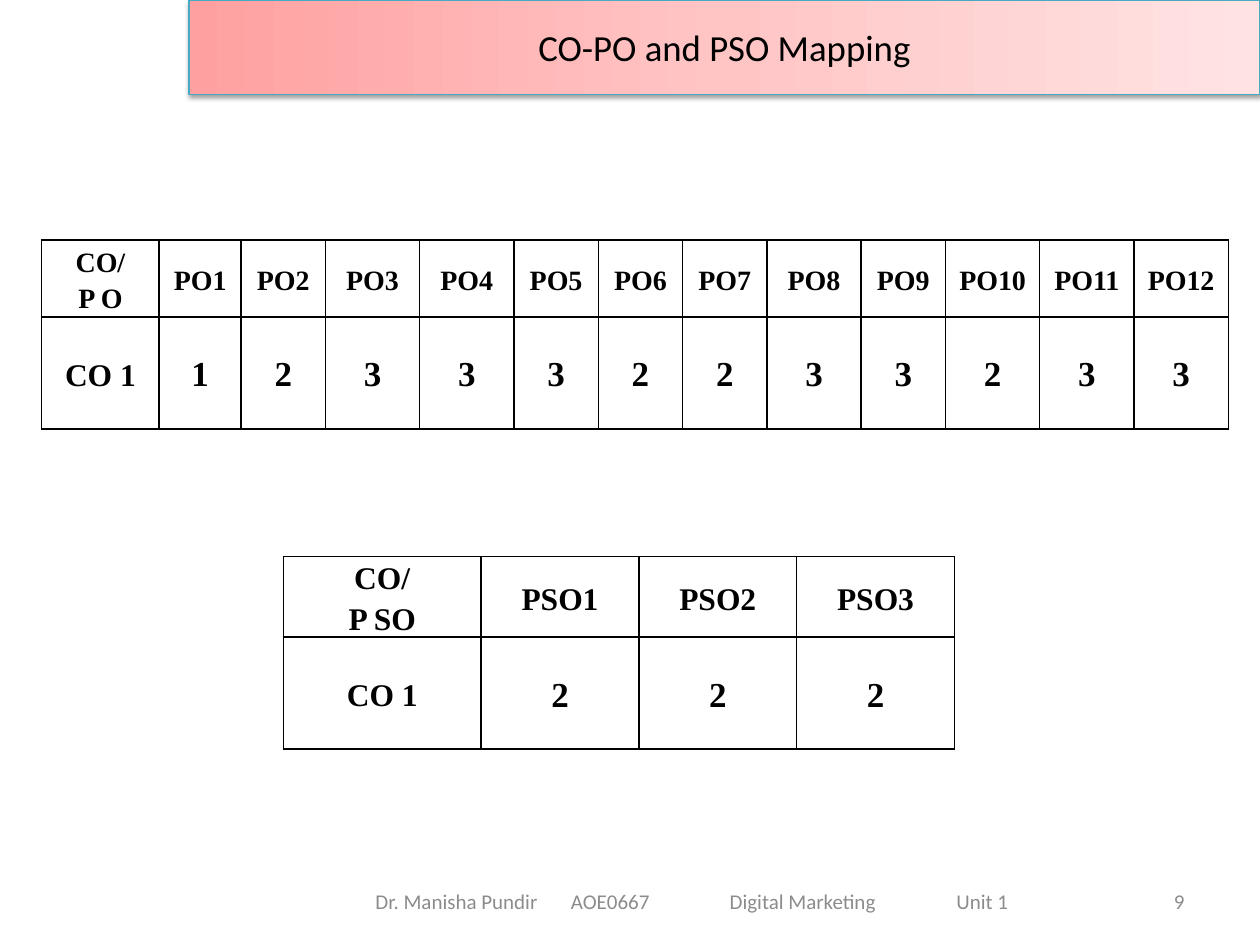
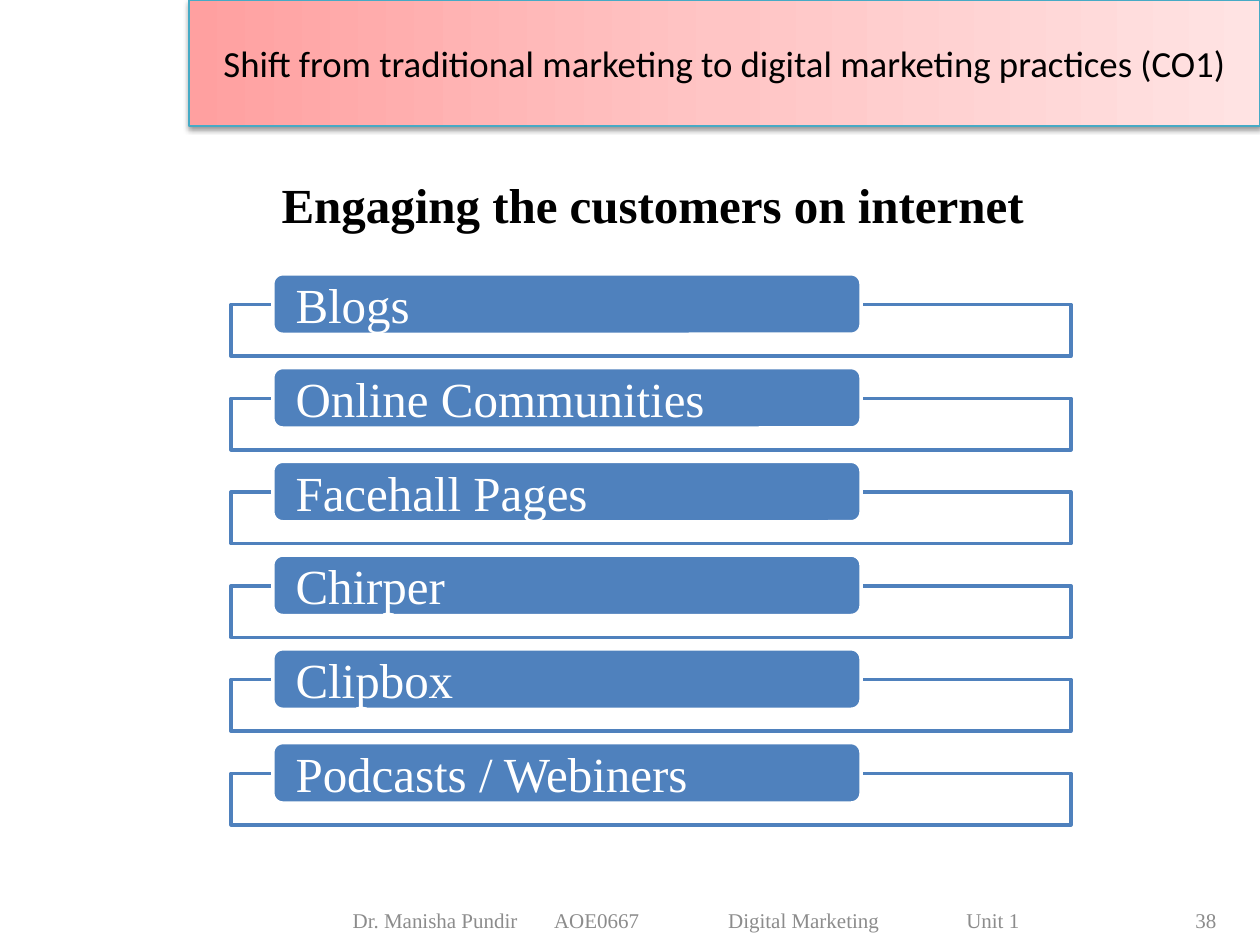
"""Builds the outcome mapping slide and the customer engagement slide."""
from lxml import etree
from pptx import Presentation
from pptx.dml.color import RGBColor
from pptx.enum.shapes import MSO_SHAPE
from pptx.enum.text import MSO_ANCHOR, MSO_AUTO_SIZE, PP_ALIGN
from pptx.oxml import parse_xml
from pptx.oxml.ns import nsdecls, qn
from pptx.util import Cm, Pt

LEFT, CENTER, RIGHT = PP_ALIGN.LEFT, PP_ALIGN.CENTER, PP_ALIGN.RIGHT
MIDDLE = MSO_ANCHOR.MIDDLE
NO_AUTOFIT = MSO_AUTO_SIZE.NONE
RECTANGLE, ROUNDED = MSO_SHAPE.RECTANGLE, MSO_SHAPE.ROUNDED_RECTANGLE
TITLE_ONLY = 5

BLACK = RGBColor(0x00, 0x00, 0x00)
WHITE = RGBColor(0xFF, 0xFF, 0xFF)
GREY = RGBColor(0x8C, 0x8C, 0x8C)
BLUE = RGBColor(0x4F, 0x81, 0xBD)
BAND_LINE = RGBColor(0x46, 0xAA, 0xC5)
BAND_STOPS = [
    (0, RGBColor(0xFF, 0xA0, 0xA0)),
    (50, RGBColor(0xFF, 0xC5, 0xC5)),
    (100, RGBColor(0xFF, 0xE3, 0xE3)),
]
SANS, SERIF = "Calibri", "Times New Roman"

SLIDE_WIDTH, SLIDE_HEIGHT = 25.4, 19.05
BAND_LEFT = 3.81

FOOTER = ["Dr. Manisha Pundir", "AOE0667", "Digital Marketing", "Unit 1"]

MAPPING = {
    "title": "CO-PO and PSO Mapping",
    "band_height": 1.9,
    "number": "9",
    "footer": {"font": SANS, "top": 17.65, "left": 7.57, "tabs": [3.94, 7.14, 11.71],
               "number_right": 24.13},
}
ROW_HEIGHTS = [1.55, 2.26]
PO_TABLE = {
    "at": (0.84, 4.84),
    "widths": [2.37, 1.65, 1.7, 1.9, 1.9, 1.7, 1.7, 1.7, 1.9, 1.7, 1.9, 1.9, 1.9],
    "rows": [
        ["CO/\nP O"] + [f"PO{number}" for number in range(1, 13)],
        ["CO 1", "1", "2", "3", "3", "3", "2", "2", "3", "3", "2", "3", "3"],
    ],
    "header_size": 16,
    "value_spacing": 1.07,
    "value_after": 8,
}
PSO_TABLE = {
    "at": (5.71, 11.22),
    "widths": [3.99, 3.18, 3.18, 3.18],
    "rows": [["CO/\nP SO", "PSO1", "PSO2", "PSO3"], ["CO 1", "2", "2", "2"]],
    "header_size": 18,
    "value_spacing": 1.15,
    "value_after": 0,
}

ENGAGEMENT = {
    "title": "Shift from traditional marketing to digital marketing practices (CO1)",
    "band_height": 2.54,
    "number": "38",
    "footer": {"font": SERIF, "top": 18.03, "left": 7.11, "tabs": [4.06, 7.57, 12.37],
               "number_right": 24.77},
}
HEADING = "Engaging the customers on internet"
CHANNELS = ["Blogs", "Online Communities", "Facehall Pages", "Chirper", "Clipbox",
            "Podcasts / Webiners"]
CHANNEL_TOP, CHANNEL_STEP = 5.52, 1.89


def write_text(frame, text, font=SERIF, size=12, color=BLACK, bold=False, align=LEFT,
               spacing=1.0, after=0, side_margin=0.0):
    """Fill a text frame, one paragraph a line, in a single format."""
    frame.text = text
    frame.word_wrap = True
    frame.auto_size = NO_AUTOFIT
    frame.vertical_anchor = MIDDLE
    frame.margin_left = frame.margin_right = Cm(side_margin)
    frame.margin_top = frame.margin_bottom = 0
    for paragraph in frame.paragraphs:
        paragraph.alignment = align
        paragraph.line_spacing = spacing
        paragraph.space_before = Pt(0)
        paragraph.space_after = Pt(after)
        paragraph.font.name = font
        paragraph.font.size = Pt(size)
        paragraph.font.bold = bold
        paragraph.font.color.rgb = color


def add_text(slide, left, top, width, height, text, **text_format):
    """Add a text box and return its frame."""
    box = slide.shapes.add_textbox(Cm(left), Cm(top), Cm(width), Cm(height))
    write_text(box.text_frame, text, **text_format)
    return box.text_frame


def style_band(title, text, height):
    """Turn the title placeholder into the pink band."""
    title.left, title.top = Cm(BAND_LEFT), 0
    title.width, title.height = Cm(SLIDE_WIDTH - BAND_LEFT), Cm(height)
    write_text(title.text_frame, text, font=SANS, size=21, align=CENTER, side_margin=0.25)
    stops = "".join(
        f'<a:gs pos="{position * 1000}"><a:srgbClr val="{color}"/></a:gs>'
        for position, color in BAND_STOPS)
    properties = title.element.spPr
    properties.append(parse_xml(
        f'<a:gradFill {nsdecls("a")} rotWithShape="1"><a:gsLst>{stops}</a:gsLst>'
        '<a:lin ang="0" scaled="0"/></a:gradFill>'))
    title.line.color.rgb = BAND_LINE
    title.line.width = Pt(0.75)
    properties.append(parse_xml(
        f'<a:effectLst {nsdecls("a")}><a:outerShdw blurRad="{Pt(3.1)}" dist="{Pt(1.6)}" '
        f'dir="5400000" rotWithShape="0"><a:srgbClr val="{BLACK}"><a:alpha val="38000"/>'
        '</a:srgbClr></a:outerShdw></a:effectLst>'))


def add_footer(slide, number, font, top, left, tabs, number_right):
    """Add the tabbed course footer and the slide number."""
    look = {"font": font, "color": GREY}
    frame = add_text(slide, left, top, 14.5, 1.02, "\t".join(FOOTER), **look)
    properties = frame.paragraphs[0]._p.get_or_add_pPr()
    tab_list = etree.Element(qn("a:tabLst"))
    for position in tabs:
        etree.SubElement(tab_list, qn("a:tab"), pos=str(Cm(position)), algn="l")
    properties.find(qn("a:defRPr")).addprevious(tab_list)
    add_text(slide, number_right - 2, top, 1.75, 1.02, number, align=RIGHT, **look)


def add_base_slide(presentation, content):
    """Add a slide with the shared band and footer."""
    slide = presentation.slides.add_slide(presentation.slide_layouts[TITLE_ONLY])
    style_band(slide.shapes.title, content["title"], content["band_height"])
    add_footer(slide, content["number"], **content["footer"])
    return slide


def add_borders(cell):
    """Draw a thin black line on every side of a cell."""
    properties = cell._tc.get_or_add_tcPr()
    for index, side in enumerate(["lnL", "lnR", "lnT", "lnB"]):
        properties.insert(index, parse_xml(
            f'<a:{side} {nsdecls("a")} w="{Pt(1)}"><a:solidFill><a:srgbClr val="{BLACK}"/>'
            f'</a:solidFill></a:{side}>'))


def write_cell(cell, text, **text_format):
    """Fill one bordered, unfilled cell with bold centred text."""
    cell.fill.background()
    cell.vertical_anchor = MIDDLE
    cell.margin_left = cell.margin_right = Cm(0.18)
    cell.margin_top = cell.margin_bottom = 0
    cell.text = text
    for paragraph in cell.text_frame.paragraphs:
        paragraph.alignment = CENTER
        paragraph.line_spacing = text_format["spacing"]
        paragraph.space_after = Pt(text_format["after"])
        for run in paragraph.runs:
            run.font.name = SERIF
            run.font.size = Pt(text_format["size"])
            run.font.bold = True
            run.font.color.rgb = BLACK
    add_borders(cell)


def add_mapping_table(slide, content):
    """Add a table of outcomes against their levels."""
    rows, widths = content["rows"], content["widths"]
    left, top = content["at"]
    table = slide.shapes.add_table(
        len(rows), len(widths), Cm(left), Cm(top), Cm(sum(widths)), Cm(sum(ROW_HEIGHTS))).table
    table.first_row = table.horz_banding = False
    for column, width in zip(table.columns, widths):
        column.width = Cm(width)
    for row, height in zip(table.rows, ROW_HEIGHTS):
        row.height = Cm(height)
    header = {"size": content["header_size"], "spacing": 1.15, "after": 0}
    label = {"size": 18, "spacing": 1.15, "after": 10}
    value = {"size": 20, "spacing": content["value_spacing"], "after": content["value_after"]}
    for row_index, texts in enumerate(rows):
        for column_index, text in enumerate(texts):
            look = header if row_index == 0 else value if column_index else label
            write_cell(table.cell(row_index, column_index), text, **look)


def add_box(slide, kind, left, top, width, height, fill, line):
    """Add a flat shape with a two point outline."""
    shape = slide.shapes.add_shape(kind, Cm(left), Cm(top), Cm(width), Cm(height))
    shape.shadow.inherit = False
    shape.fill.solid()
    shape.fill.fore_color.rgb = fill
    shape.line.color.rgb = line
    shape.line.width = Pt(2)
    return shape


def add_channels(slide):
    """Stack the channel labels, each on its outlined bar."""
    for index, channel in enumerate(CHANNELS):
        top = CHANNEL_TOP + index * CHANNEL_STEP
        add_box(slide, RECTANGLE, 4.66, top + 0.62, 16.93, 1.04, WHITE, BLUE)
        label = add_box(slide, ROUNDED, 5.5, top, 11.86, 1.22, BLUE, WHITE)
        write_text(label.text_frame, channel, size=28, color=WHITE, side_margin=0.4)


def main():
    """Build both slides and save them."""
    presentation = Presentation()
    presentation.slide_width, presentation.slide_height = Cm(SLIDE_WIDTH), Cm(SLIDE_HEIGHT)

    mapping_slide = add_base_slide(presentation, MAPPING)
    for content in (PO_TABLE, PSO_TABLE):
        add_mapping_table(mapping_slide, content)

    engagement_slide = add_base_slide(presentation, ENGAGEMENT)
    add_text(engagement_slide, 5.33, 3.38, 15.65, 1.45, HEADING, size=28, bold=True,
             align=CENTER)
    add_channels(engagement_slide)

    presentation.save("out.pptx")


if __name__ == "__main__":
    main()
